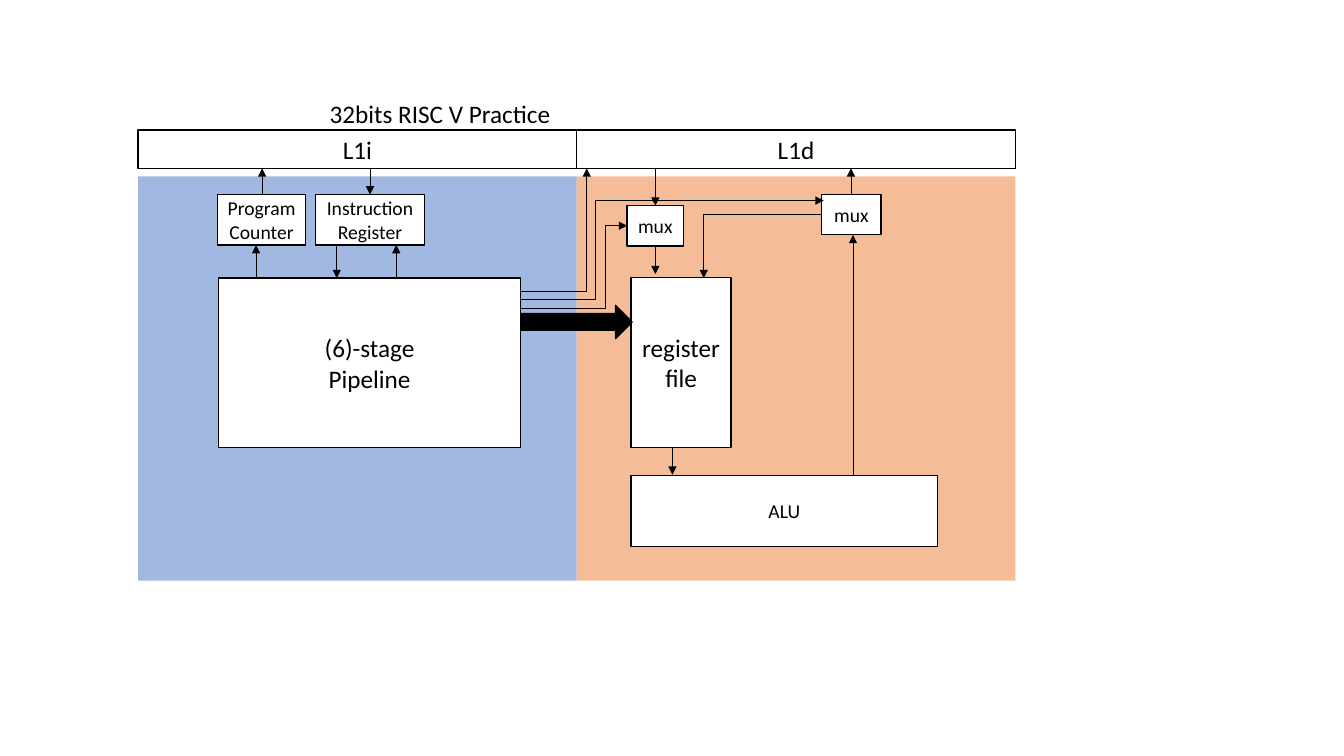
from dataclasses import dataclass

from lxml.etree import SubElement
from pptx import Presentation
from pptx.dml.color import RGBColor
from pptx.enum.shapes import MSO_CONNECTOR, MSO_SHAPE
from pptx.enum.text import MSO_ANCHOR, MSO_AUTO_SIZE, PP_ALIGN
from pptx.oxml.ns import qn
from pptx.util import Inches, Pt


@dataclass(frozen=True)
class Theme:
    """Colours, type sizes and line widths of the diagram."""
    font: str = "Calibri"
    ink: str = "000000"
    paper: str = "FFFFFF"
    fetch: str = "4472C4"
    execute: str = "ED7D31"
    large: int = 18
    small: int = 14
    border: float = 1
    wire: float = 0.5


THEME = Theme()

TITLE = "32bits RISC V Practice"
LEFT, HALF_W = 1.37, 4.35
CACHE_TOP, CACHE_H = 1.29, 0.38
REGION_TOP, REGION_H = 1.75, 4.01

# The two fetch registers are tall enough for two lines of small type
FETCH_TOP, FETCH_H = 1.93, 0.5
FETCH_BOTTOM = FETCH_TOP + FETCH_H

# Each half of the processor: level 1 cache above a tinted region
HALVES = [("L1i", THEME.fetch), ("L1d", THEME.execute)]

# label, (left, top, width, height), type size
BLOCKS = [
    ("(6)-stage\vPipeline", (2.17, 2.76, 2.99, 1.68), THEME.large),
    ("Program Counter", (2.16, FETCH_TOP, 0.87, FETCH_H), THEME.small),
    ("Instruction Register", (3.13, FETCH_TOP, 1.08, FETCH_H), THEME.small),
    ("mux", (6.22, 2.04, 0.56, 0.4), THEME.small),
    ("mux", (8.15, 1.93, 0.59, 0.4), THEME.small),
    ("register file", (6.26, 2.75, 0.99, 1.69), THEME.large),
    ("ALU", (6.26, 4.72, 3.04, 0.7), THEME.small),
]

OPERAND_BUS = (5.17, 3.03, 1.1, 0.33)

# x, from y, to y
VERTICAL_ARROWS = [
    (2.54, 2.76, FETCH_BOTTOM),  # pipeline to program counter
    (2.6, FETCH_TOP, 1.67),      # program counter to L1i
    (3.67, 1.67, FETCH_TOP),     # L1i to instruction register
    (3.34, FETCH_BOTTOM, 2.76),  # instruction register to pipeline
    (3.93, 2.76, FETCH_BOTTOM),  # pipeline to instruction register
    (5.82, 2.89, 1.67),          # pipeline to L1d
    (6.67, 4.44, 4.71),          # register file to ALU
    (8.44, 1.93, 1.67),          # right mux to L1d
    (6.5, 2.44, 2.72),           # left mux to register file
    (6.5, 1.67, 2.04),           # L1d to left mux
    (8.46, 4.72, 2.33),          # ALU to right mux
]
L1D_LEAD = ((5.16, 2.89), (5.82, 2.89))

# from, to, share of the width covered before the bend
BENT_ARROWS = [
    ((5.17, 3.06), (6.22, 2.24), 0.794),  # pipeline to left mux
    ((8.15, 2.13), (6.98, 2.76), 0.999),  # right mux to register file
    ((5.17, 2.97), (8.17, 1.99), 0.245),  # pipeline to right mux
]


def rgb(code):
    """Turn a hex code into a colour."""
    return RGBColor.from_string(code)


def style_text(tf, text, size, align, anchor):
    """Write one paragraph in the diagram's font."""
    tf.text = text
    tf.word_wrap = True
    tf.auto_size = MSO_AUTO_SIZE.NONE
    tf.vertical_anchor = anchor
    p = tf.paragraphs[0]
    p.alignment = align
    p.font.name = THEME.font
    p.font.size = Pt(size)
    p.font.color.rgb = rgb(THEME.ink)


def add_box(s, box, fill, kind=MSO_SHAPE.RECTANGLE, border=True):
    """Add a filled shape, with or without a border."""
    sp = s.shapes.add_shape(kind, *map(Inches, box))
    sp.shadow.inherit = False
    sp.fill.solid()
    sp.fill.fore_color.rgb = rgb(fill)
    if border:
        sp.line.color.rgb = rgb(THEME.ink)
        sp.line.width = Pt(THEME.border)
    else:
        sp.line.fill.background()
    return sp


def add_block(s, label, box, size):
    """Add a white labelled block."""
    tf = add_box(s, box, THEME.paper).text_frame
    tf.margin_left = tf.margin_right = Inches(0.05)
    tf.margin_top = tf.margin_bottom = 0
    style_text(tf, label, size, PP_ALIGN.CENTER, MSO_ANCHOR.MIDDLE)


def add_region(s, box, fill):
    """Add a half transparent background region."""
    sp = add_box(s, box, fill, border=False)
    color = next(sp.fill._xPr.iter(qn("a:srgbClr")))
    SubElement(color, qn("a:alpha"), val="50000")


def add_wire(s, start, end, bend=None, arrow=True):
    """Add a straight wire, or an elbow when a bend is given."""
    kind = MSO_CONNECTOR.STRAIGHT if bend is None else MSO_CONNECTOR.ELBOW
    cx = s.shapes.add_connector(kind, *map(Inches, start + end))
    cx.line.color.rgb = rgb(THEME.ink)
    cx.line.width = Pt(THEME.wire)
    sp_pr = cx._element.spPr
    if arrow:
        SubElement(sp_pr.find(qn("a:ln")), qn("a:tailEnd"), type="triangle")
    SubElement(sp_pr, qn("a:effectLst"))
    if bend is not None:
        guides = next(sp_pr.iter(qn("a:avLst")))
        SubElement(guides, qn("a:gd"), name="adj1",
                   fmla=f"val {round(bend * 100000)}")


def add_title(s):
    """Place the title just above the caches."""
    sp = s.shapes.title
    sp.left, sp.top, sp.width, sp.height = map(Inches, (3.17, 0.93, 2.47, 0.4))
    style_text(sp.text_frame, TITLE, THEME.large, PP_ALIGN.LEFT, MSO_ANCHOR.TOP)


prs = Presentation()
prs.slide_width, prs.slide_height = Inches(13.33), Inches(7.5)
s = prs.slides.add_slide(prs.slide_layouts[5])

add_title(s)
for i, (cache, tint) in enumerate(HALVES):
    x = LEFT + i * HALF_W
    add_region(s, (x, REGION_TOP, HALF_W, REGION_H), tint)
    add_block(s, cache, (x, CACHE_TOP, HALF_W, CACHE_H), THEME.large)
for block in BLOCKS:
    add_block(s, *block)
add_box(s, OPERAND_BUS, THEME.ink, MSO_SHAPE.RIGHT_ARROW)
for x, y1, y2 in VERTICAL_ARROWS:
    add_wire(s, (x, y1), (x, y2))
add_wire(s, *L1D_LEAD, arrow=False)
for start, end, bend in BENT_ARROWS:
    add_wire(s, start, end, bend)

prs.save("out.pptx")
